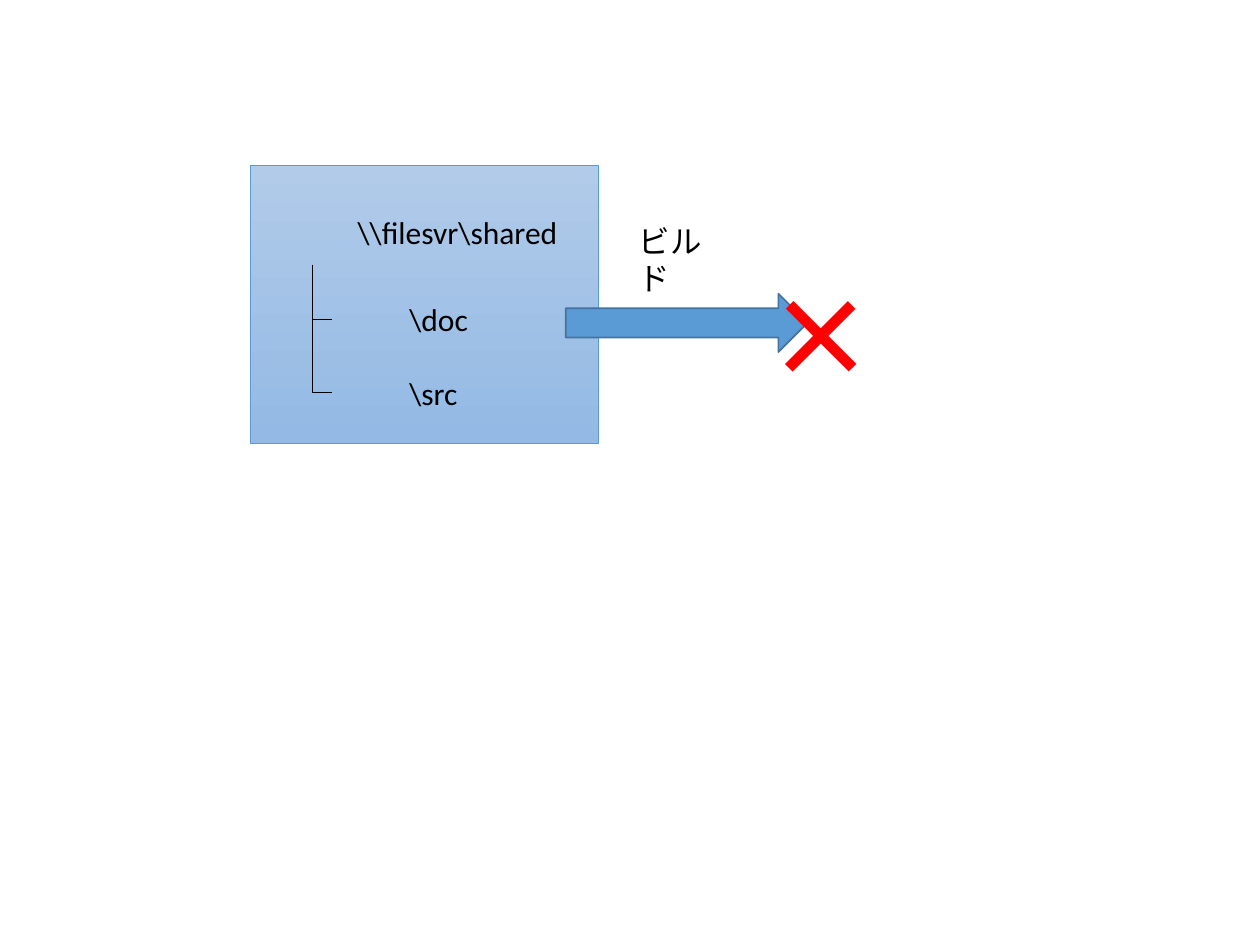
from typing import NamedTuple

from lxml.etree import SubElement
from pptx import Presentation
from pptx.dml.color import RGBColor
from pptx.enum.shapes import MSO_CONNECTOR, MSO_SHAPE
from pptx.enum.text import MSO_AUTO_SIZE
from pptx.oxml.ns import qn
from pptx.util import Pt

COLORS = {
    "folder_top": "B1CBE9",
    "folder_bottom": "93B9E4",
    "folder_line": "5B9BD5",
    "arrow": "5B9BD5",
    "arrow_line": "43739E",
    "text": "000000",
    "cross": "FF0000",
}


class Label(NamedTuple):
    text: str
    left: float
    top: float
    width: float
    height: float = 29
    size: float = 18
    color: str = "text"


class Branch(NamedTuple):
    top: float
    bottom: float


FOLDERS = [
    Label(r"\\filesvr\shared", 197.2, 118.1, 137),
    Label(r"\doc", 226.8, 167.8, 50.5),
    Label(r"\src", 226.8, 210, 44.8),
]
BRANCHES = [Branch(151.3, 182.7), Branch(155.5, 224.5)]
TRUNK_LEFT, BRANCH_WIDTH = 178.6, 11
CROSS = Label("×", 438.5, 123.1, 111.6, 123.8, 96, "cross")
BUILD = Label("ビルド", 357.8, 123.1, 63.4)


def rgb(name: str) -> RGBColor:
    return RGBColor.from_string(COLORS[name])


def add_shape(s, kind, left: float, top: float, width: float, height: float,
              line: str, weight: float):
    sp = s.shapes.add_shape(kind, Pt(left), Pt(top), Pt(width), Pt(height))
    sp.shadow.inherit = False
    sp.line.color.rgb = rgb(line)
    sp.line.width = Pt(weight)
    return sp


def add_label(s, label: Label) -> None:
    sp = s.shapes.add_textbox(Pt(label.left), Pt(label.top),
                              Pt(label.width), Pt(label.height))
    tf = sp.text_frame
    tf.word_wrap = True
    tf.auto_size = MSO_AUTO_SIZE.SHAPE_TO_FIT_TEXT
    r = tf.paragraphs[0].add_run()
    r.text = label.text
    for key, value in {"name": "Calibri", "size": Pt(label.size)}.items():
        setattr(r.font, key, value)
    r.font.color.rgb = rgb(label.color)


def add_branch(s, branch: Branch) -> None:
    """Draw a one-bend connector that runs down the trunk, then right.

    The unrotated frame is mirrored and lies on its side around the same centre.
    """
    length = branch.bottom - branch.top
    mid_x = TRUNK_LEFT + BRANCH_WIDTH / 2
    mid_y = (branch.top + branch.bottom) / 2
    cxn = s.shapes.add_connector(
        MSO_CONNECTOR.ELBOW,
        Pt(mid_x + length / 2), Pt(mid_y - BRANCH_WIDTH / 2),
        Pt(mid_x - length / 2), Pt(mid_y + BRANCH_WIDTH / 2))
    cxn.line.color.rgb = rgb("text")
    cxn.line.width = Pt(0.5)
    sp_pr = cxn._element.spPr
    sp_pr.find(qn("a:xfrm")).set("rot", str(270 * 60000))
    sp_pr.find(qn("a:prstGeom")).set("prst", "bentConnector2")
    SubElement(sp_pr, qn("a:effectLst"))


def main() -> None:
    prs = Presentation()
    prs.slide_width, prs.slide_height = Pt(720), Pt(540)
    s = prs.slides.add_slide(prs.slide_layouts[6])

    folder = add_shape(s, MSO_SHAPE.RECTANGLE, 143.2, 94.8, 198.8, 158.6,
                       "folder_line", 0.5)
    folder.fill.gradient()
    folder.fill.gradient_angle = 270
    for stop, name in zip(folder.fill.gradient_stops,
                          ("folder_top", "folder_bottom")):
        stop.color.rgb = rgb(name)

    for label in FOLDERS:
        add_label(s, label)
    for branch in BRANCHES:
        add_branch(s, branch)

    arrow = add_shape(s, MSO_SHAPE.RIGHT_ARROW, 323.3, 167.8, 138.2, 33.4,
                      "arrow_line", 1)
    arrow.fill.solid()
    arrow.fill.fore_color.rgb = rgb("arrow")

    for label in (CROSS, BUILD):
        add_label(s, label)
    prs.save("out.pptx")


if __name__ == "__main__":
    main()
